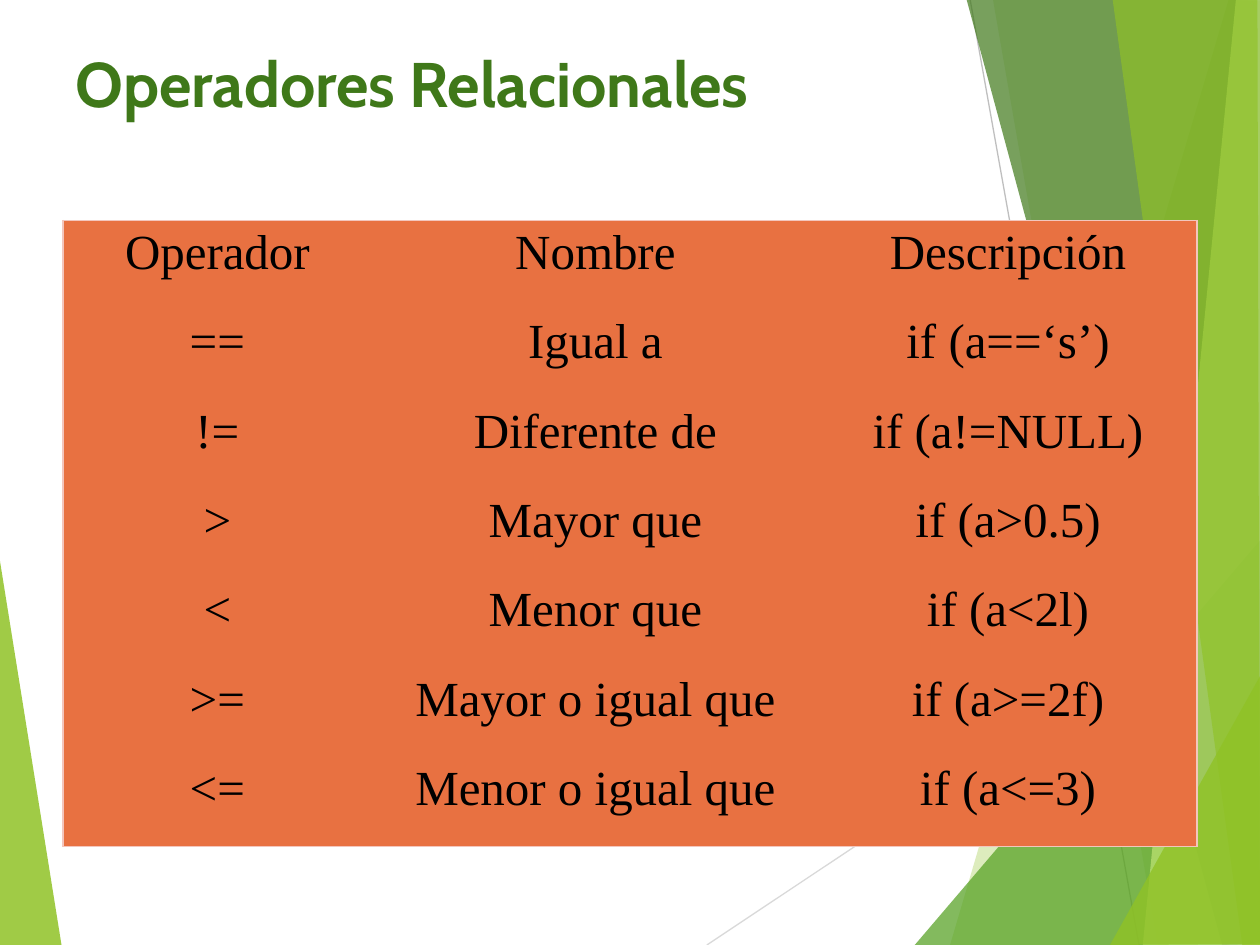
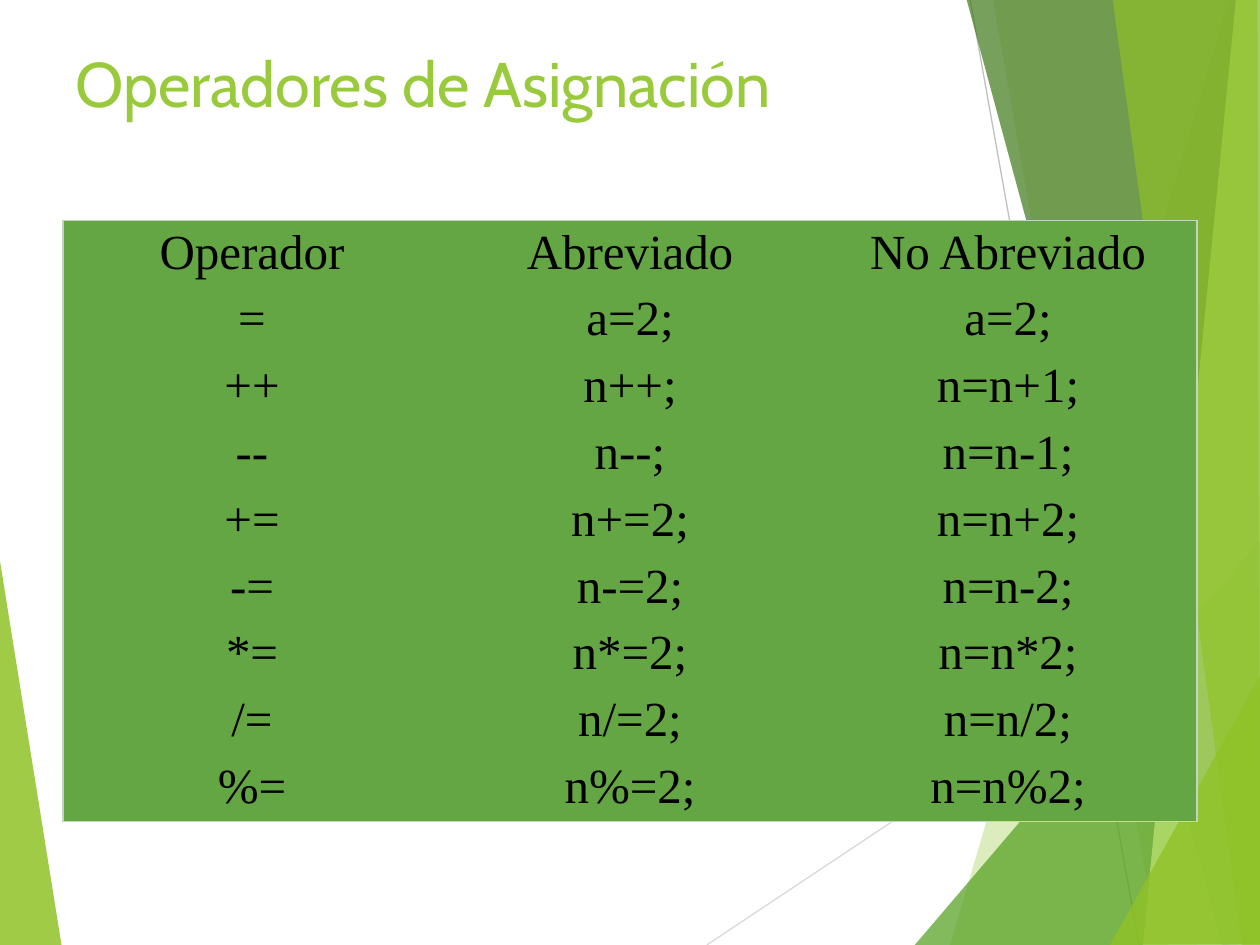
from lxml import etree
from pptx import Presentation
from pptx.dml.color import RGBColor
from pptx.enum.shapes import MSO_CONNECTOR
from pptx.enum.text import MSO_ANCHOR, MSO_AUTO_SIZE, PP_ALIGN
from pptx.oxml.ns import qn
from pptx.util import Inches, Pt

STRAIGHT = MSO_CONNECTOR.STRAIGHT
TOP = MSO_ANCHOR.TOP
NO_AUTOFIT = MSO_AUTO_SIZE.NONE
LEFT = PP_ALIGN.LEFT
CENTER = PP_ALIGN.CENTER

LEAF = RGBColor(0x90, 0xC2, 0x26)
GRASS = RGBColor(0x54, 0xA0, 0x21)
FOREST = RGBColor(0x3F, 0x78, 0x19)
PALE_LIME = RGBColor(0xC0, 0xE4, 0x74)
LIME = RGBColor(0x99, 0xCA, 0x3C)
LIGHT_GRAY = RGBColor(0xD9, 0xD9, 0xD9)
GRAY = RGBColor(0xBF, 0xBF, 0xBF)
BLACK = RGBColor(0x00, 0x00, 0x00)
ORANGE = RGBColor(0xE8, 0x71, 0x41)
PEACH = RGBColor(0xF3, 0xC6, 0xBD)
GREEN = RGBColor(0x64, 0xA5, 0x44)
SAGE = RGBColor(0xC3, 0xD6, 0xBD)

TITLE_FONT = "Cabin"
TABLE_FONT = "Times New Roman"

RAYS = [
    ((5.61, 7.5), (10.01, 4.57), LIGHT_GRAY),
    ((7.7, 0), (9.04, 7.5), GRAY),
]

LEFT_FACET = ([(-0.01, 4.39), (0.49, 7.51), (-0.01, 7.5)], LEAF, 85)
RIGHT_FACETS = [
    ([(9.75, 0), (7.54, 7.5), (10.02, 7.51), (10.01, 0.01)], LEAF, 30),
    ([(7.88, -0.01), (9.19, 7.5), (10.01, 7.5), (10.01, -0.01)], LEAF, 20),
    ([(7.26, 7.5), (10, 4.29), (10.01, 7.5)], GRASS, 72),
    ([(7.67, -0.01), (9.7, 7.5), (10.01, 7.49), (10.01, -0.01)], FOREST, 70),
    ([(9.81, -0.01), (9.07, 7.5), (10.01, 7.5), (10, -0.01)], PALE_LIME, 70),
    ([(8.83, -0.01), (9.86, 7.5), (10, 7.5), (9.98, -0.01)], LEAF, 65),
    ([(8.81, 7.5), (10.01, 5.35), (10.01, 7.49)], LEAF, 80),
]

RELATIONAL_ROWS = [
    ("Operador", "Nombre", "Descripción"),
    ("==", "Igual a", "if (a==‘s’)"),
    ("!=", "Diferente de", "if (a!=NULL)"),
    (">", "Mayor que", "if (a>0.5)"),
    ("<", "Menor que", "if (a<2l)"),
    (">=", "Mayor o igual que", "if (a>=2f)"),
    ("<=", "Menor o igual que", "if (a<=3)"),
]

ASSIGNMENT_ROWS = [
    ("Operador", "Abreviado", "No Abreviado"),
    ("=", "a=2;", "a=2;"),
    ("++", "n++;", "n=n+1;"),
    ("--", "n--;", "n=n-1;"),
    ("+=", "n+=2;", "n=n+2;"),
    ("-=", "n-=2;", "n=n-2;"),
    ("*=", "n*=2;", "n=n*2;"),
    ("/=", "n/=2;", "n=n/2;"),
    ("%=", "n%=2;", "n=n%2;"),
]


def write_text(text_frame, text, font, size, color, bold=False, alignment=LEFT):
    paragraph = text_frame.paragraphs[0]
    paragraph.alignment = alignment
    run = paragraph.add_run()
    run.text = text
    run.font.name = font
    run.font.size = Pt(size)
    run.font.color.rgb = color
    run.font.bold = bold


def add_facet(slide, points, color, opacity):
    corners = [(Inches(x), Inches(y)) for x, y in points]
    builder = slide.shapes.build_freeform(*corners[0])
    builder.add_line_segments(corners[1:], close=True)
    shape = builder.convert_to_shape()
    shape.shadow.inherit = False
    shape.line.fill.background()
    shape.fill.solid()
    shape.fill.fore_color.rgb = color
    color_element = shape.element.spPr.find(".//" + qn("a:srgbClr"))
    etree.SubElement(color_element, qn("a:alpha"), val=str(opacity * 1000))
    return shape


def add_ray(slide, start, end, color):
    ends = [Inches(value) for value in (*start, *end)]
    connector = slide.shapes.add_connector(STRAIGHT, *ends)
    connector.line.color.rgb = color
    connector.line.width = Pt(0.75)
    etree.SubElement(connector.element.spPr, qn("a:effectLst"))
    return connector


def decorate_layout(layout, slide):
    shapes = [add_facet(slide, *LEFT_FACET)]
    shapes += [add_ray(slide, *ray) for ray in RAYS]
    shapes += [add_facet(slide, *facet) for facet in RIGHT_FACETS]
    for shape in shapes:
        layout.shapes.element.append(shape.element)


def set_title(slide, text, color, bold=False):
    title = slide.shapes.title
    title.left, title.top = Inches(0.5), Inches(0.3)
    title.width, title.height = Inches(9), Inches(1.25)
    title.text_frame.vertical_anchor = TOP
    title.text_frame.auto_size = NO_AUTOFIT
    write_text(title.text_frame, text, TITLE_FONT, 36, color, bold=bold)


def set_borders(cell, color, outer_sides):
    properties = cell._tc.get_or_add_tcPr()
    for index, side in enumerate("LRTB"):
        line = etree.Element(qn("a:ln" + side), w=str(Pt(1)))
        if side in outer_sides:
            fill = etree.SubElement(line, qn("a:solidFill"))
            etree.SubElement(fill, qn("a:srgbClr"), val=str(color))
        else:
            etree.SubElement(line, qn("a:noFill"))
        properties.insert(index, line)


def add_operator_table(slide, rows, column_widths, row_height, fill, border):
    last_row, last_column = len(rows) - 1, len(column_widths) - 1
    frame = slide.shapes.add_table(
        len(rows), len(column_widths), Inches(0.5), Inches(1.75),
        Inches(sum(column_widths)), Inches(row_height * len(rows)))
    table = frame.table
    table.first_row = table.horz_banding = False
    for column, width in zip(table.columns, column_widths):
        column.width = Inches(width)
    for row_index, texts in enumerate(rows):
        table.rows[row_index].height = Inches(row_height)
        for column_index, text in enumerate(texts):
            cell = table.cell(row_index, column_index)
            cell.margin_top = cell.margin_bottom = Inches(0.04)
            cell.vertical_anchor = TOP
            cell.fill.solid()
            cell.fill.fore_color.rgb = fill
            edges = {"L": column_index == 0, "R": column_index == last_column,
                     "T": row_index == 0, "B": row_index == last_row}
            set_borders(cell, border, [side for side in edges if edges[side]])
            write_text(cell.text_frame, text, TABLE_FONT, 28, BLACK, alignment=CENTER)


def main():
    presentation = Presentation()
    presentation.slide_width, presentation.slide_height = Inches(10), Inches(7.5)
    layout = presentation.slide_layouts.get_by_name("Title Only")

    relational = presentation.slides.add_slide(layout)
    decorate_layout(layout, relational)
    set_title(relational, "Operadores Relacionales", FOREST, bold=True)
    add_operator_table(relational, RELATIONAL_ROWS, (2.45, 3.55, 3), 0.71, ORANGE, PEACH)

    assignment = presentation.slides.add_slide(layout)
    set_title(assignment, "Operadores de Asignación", LIME)
    add_operator_table(assignment, ASSIGNMENT_ROWS, (3, 3, 3), 0.53, GREEN, SAGE)

    presentation.save("out.pptx")


main()
